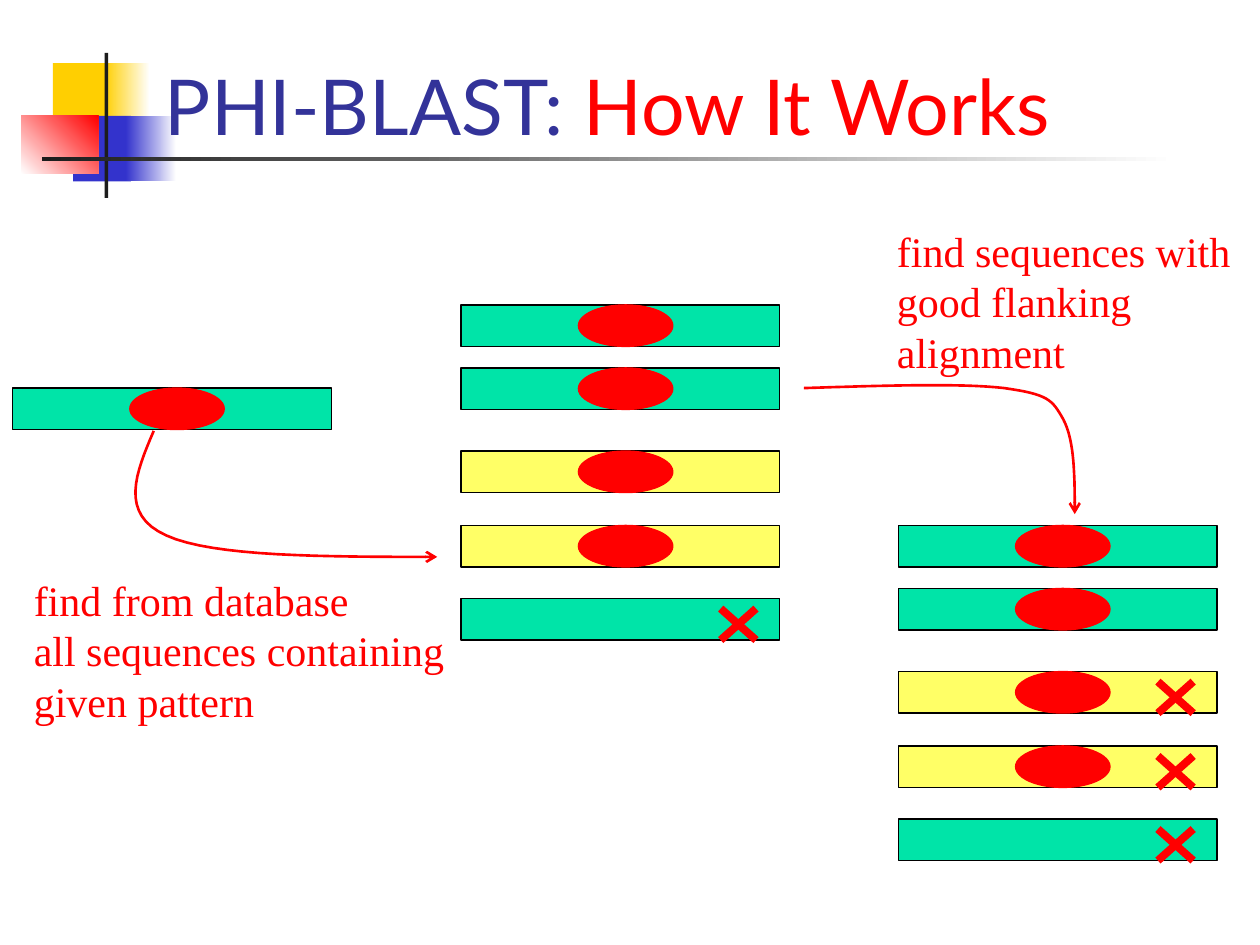
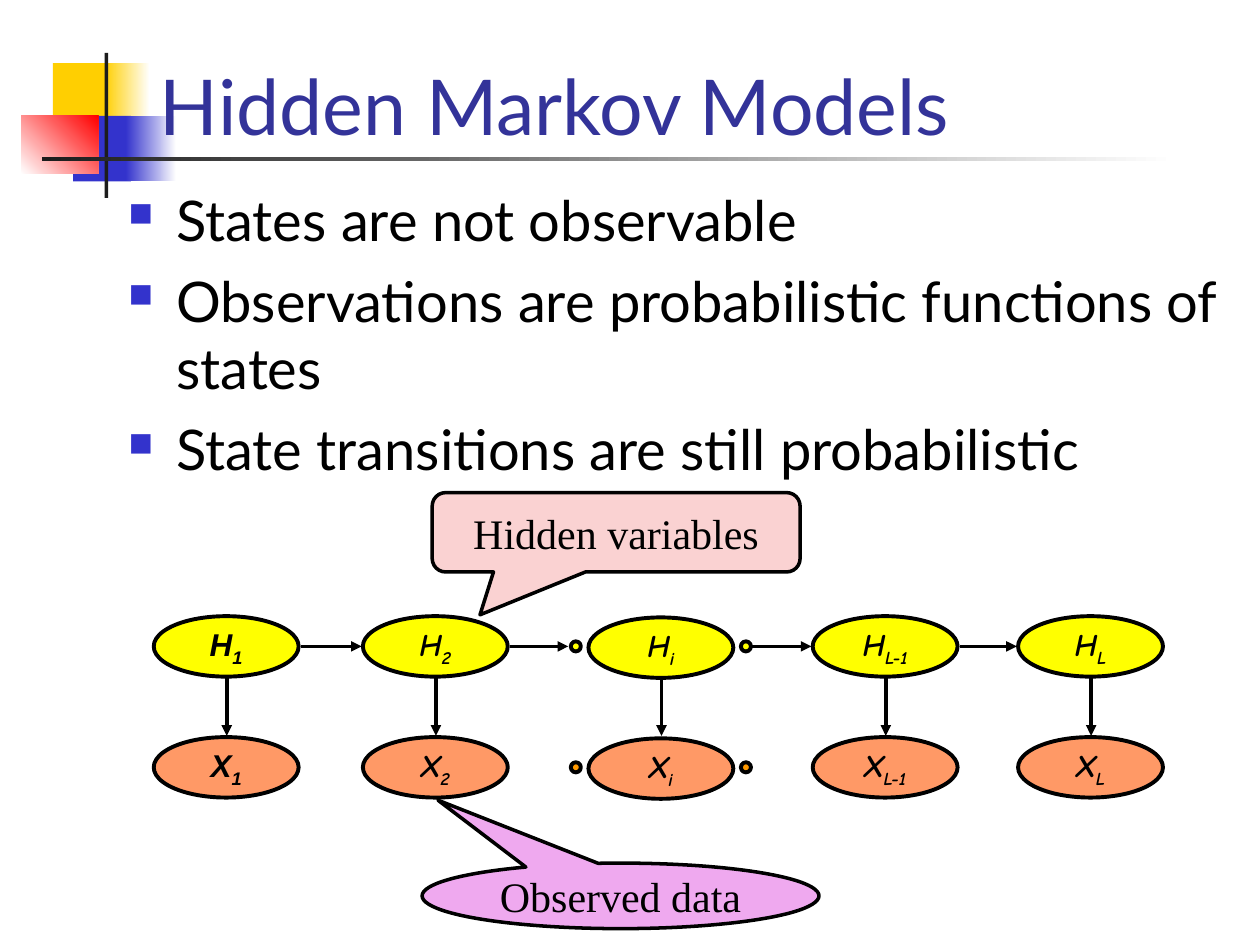
from pptx import Presentation
from pptx.dml.color import RGBColor
from pptx.enum.shapes import MSO_CONNECTOR, MSO_SHAPE as SHAPE
from pptx.enum.text import MSO_ANCHOR as ANCHOR, PP_ALIGN as ALIGN
from pptx.oxml.ns import qn
from pptx.util import Inches, Pt
from lxml.etree import SubElement

BLACK = RGBColor(0x00, 0x00, 0x00)
WHITE = RGBColor(0xFF, 0xFF, 0xFF)
RED = RGBColor(0xFF, 0x00, 0x00)
GOLD = RGBColor(0xFF, 0xCF, 0x01)
BLUE = RGBColor(0x33, 0x33, 0xCC)
CHARCOAL = RGBColor(0x1C, 0x1C, 0x1C)
TITLE_BLUE = RGBColor(0x33, 0x33, 0x99)
GREEN = RGBColor(0x00, 0xE4, 0xA8)
PALE_YELLOW = RGBColor(0xFF, 0xFF, 0x66)
YELLOW = RGBColor(0xFF, 0xFF, 0x00)
SALMON = RGBColor(0xFF, 0x99, 0x66)
ORANGE = RGBColor(0xFF, 0x99, 0x00)
PINK = RGBColor(0xFA, 0xD2, 0xD2)
VIOLET = RGBColor(0xEF, 0xA9, 0xEF)
SANS, SERIF = "Lato", "Times New Roman"


def write(sp, *paragraphs, size=24, font=SERIF, color=BLACK, bold=None, italic=None,
          align=ALIGN.LEFT, anchor=ANCHOR.TOP, wrap=True, bullet=None, gap=0):
    """Fill a shape; a paragraph is a string or a list of (text, color, baseline)."""
    tf = sp.text_frame
    tf.word_wrap, tf.vertical_anchor = wrap, anchor
    for i, runs in enumerate(paragraphs):
        p = tf.add_paragraph() if i else tf.paragraphs[0]
        p.alignment = align
        if i and gap:
            p.space_before = Pt(gap)
        if bullet:
            pPr = p._p.get_or_add_pPr()
            pPr.set("marL", str(Inches(0.38)))
            pPr.set("indent", str(-Inches(0.38)))
            SubElement(SubElement(pPr, qn("a:buClr")), qn("a:srgbClr"), val=str(BLUE))
            SubElement(pPr, qn("a:buSzPct"), val="60000")
            SubElement(pPr, qn("a:buChar"), char=bullet)
        for text, run_color, baseline in [(runs, color, 0)] if isinstance(runs, str) else runs:
            r = p.add_run()
            r.text = text
            r.font.size, r.font.name = Pt(size), font
            r.font.bold, r.font.italic = bold, italic
            r.font.color.rgb = run_color
            if baseline:
                r._r.get_or_add_rPr().set("baseline", str(baseline * 1000))


def add_shape(s, kind, x, y, w, h, fill, fade_to=None, angle=0, line=None, weight=0.75):
    sp = s.shapes.add_shape(kind, Inches(x), Inches(y), Inches(w), Inches(h))
    sp.shadow.inherit = False
    if fade_to is None:
        sp.fill.solid()
        sp.fill.fore_color.rgb = fill
    else:
        sp.fill.gradient()
        sp.fill.gradient_angle = angle
        for stop, color in zip(sp.fill.gradient_stops, (fill, fade_to)):
            stop.color.rgb = color
    if line is None:
        sp.line.fill.background()
    else:
        sp.line.color.rgb = line
        sp.line.width = Pt(weight)
    return sp


prs = Presentation()
prs.slide_width, prs.slide_height = Inches(10), Inches(7.5)
lines = []    # slide, x1, y1, x2, y2, color, weight, arrowhead
arrows = []   # line objects with their arrowheads

# Shared decoration and titles
titles = [
    (1.21, 0.4, 0.85, [("PHI-BLAST: ", TITLE_BLUE, 0), ("How It Works", RED, 0)]),
    (1.17, 0, 1.25, [("Hidden Markov Models", TITLE_BLUE, 0)]),
]
decoration = [
    (0.42, 0.5, 0.48, 0.52, GOLD),
    (0.83, 0.5, 0.36, 0.52, GOLD, WHITE),
    (0.58, 0.92, 0.46, 0.52, BLUE),
    (1, 0.92, 0.4, 0.52, BLUE, WHITE),
    (0.17, 0.92, 0.61, 0.46, WHITE, RED, 45),
    (0.83, 0.42, 0.03, 1.15, CHARCOAL),
    (0.33, 1.25, 9, 0.03, CHARCOAL, WHITE),
]
for x, y, h, title in titles:
    s = prs.slides.add_slide(prs.slide_layouts[6])
    for block in decoration:
        add_shape(s, SHAPE.RECTANGLE, *block)
    sp = s.shapes.add_textbox(Inches(x), Inches(y), Inches(8.52), Inches(h))
    write(sp, title, size=44, font=SANS, anchor=ANCHOR.BOTTOM)
blast, markov = prs.slides

# PHI-BLAST: query, database hits and filtered hits
hits = [(0, GREEN, True), (0.5, GREEN, True), (1.16, PALE_YELLOW, True),
        (1.75, PALE_YELLOW, True), (2.33, GREEN, False)]
columns = [(0.1, 3.08, hits[:1], ()), (7.13, 4.17, hits, (2, 3, 4)), (3.66, 2.42, hits, (4,))]
for x, top, sequences, rejected in columns:
    for i, (dy, color, has_pattern) in enumerate(sequences):
        y = top + dy
        add_shape(blast, SHAPE.RECTANGLE, x, y, 2.53, 0.33, color, line=BLACK)
        if has_pattern:
            add_shape(blast, SHAPE.OVAL, x + 0.93, y, 0.75, 0.33, RED, line=RED)
        if i in rejected:
            left, right, upper, lower = x + 2.06, x + 2.34, y + 0.08, y + 0.33
            lines.append((blast, right, upper, left, lower, RED, 4.5, None))
            lines.append((blast, left, upper, right, lower, RED, 4.5, None))

# PHI-BLAST: curved arrows, each a chain of Bezier segments
STEPS = 16
curves = [
    [(1.22, 3.42), (1.08, 3.75), (0.94, 4.08), (1.32, 4.25),
     (1.69, 4.42), (2.58, 4.42), (3.47, 4.42)],
    [(6.38, 3.08), (7, 3.06), (7.63, 3.04), (7.97, 3.08), (8.32, 3.13),
     (8.35, 3.17), (8.44, 3.33), (8.53, 3.5), (8.53, 3.79), (8.53, 4.08)],
]
for curve in curves:
    points = []
    for i in range(0, len(curve) - 1, 3):
        for t in (n / STEPS for n in range(1, STEPS + 1)):
            weights = ((1 - t) ** 3, 3 * t * (1 - t) ** 2, 3 * t * t * (1 - t), t ** 3)
            points.append([Inches(sum(k * c[axis] for k, c in zip(weights, curve[i:i + 4])))
                           for axis in (0, 1)])
    builder = blast.shapes.build_freeform(*(Inches(v) for v in curve[0]))
    builder.add_line_segments(points, close=False)
    sp = builder.convert_to_shape()
    sp.shadow.inherit = False
    sp.fill.background()
    sp.line.color.rgb, sp.line.width = RED, Pt(1.5)
    arrows.append((sp, "arrow"))

# PHI-BLAST: captions
captions = [
    (0.17, 4.51, 3.46, ["find from database", "all sequences containing", "given pattern"]),
    (7.02, 1.74, 2.85, ["find sequences with", "good flanking", "alignment"]),
]
for x, y, w, caption in captions:
    sp = blast.shapes.add_textbox(Inches(x), Inches(y), Inches(w), Inches(1.3))
    write(sp, *caption, color=RED, wrap=False)

# Hidden Markov Models: bullets
sp = markov.shapes.add_textbox(Inches(0.92), Inches(1.42), Inches(8.88), Inches(5.29))
write(sp, "States are not observable",
      "Observations are probabilistic functions of states",
      "State transitions are still probabilistic",
      size=32, font=SANS, bullet="■", gap=8)

# Hidden Markov Models: state chain above its observations
rows = [("H", 4.89, YELLOW, YELLOW), ("X", 5.85, SALMON, ORANGE)]
nodes = [(1.22, "1"), (2.88, "2"), (4.67, "i"), (6.45, "L-1"), (8.08, "L")]
for letter, y, color, dot_color in rows:
    for x, index in nodes:
        node_y = y + 0.01 if index == "i" else y
        sp = add_shape(markov, SHAPE.OVAL, x, node_y, 1.15, 0.48, color, line=BLACK, weight=2.25)
        write(sp, [(letter, BLACK, 0), (index, BLACK, -25)], size=18,
              font="Arial" if index == "1" else "Comic Neue", bold=True, italic=True,
              align=ALIGN.CENTER, anchor=ANCHOR.MIDDLE, wrap=False)
    for x in (4.53, 5.88):
        add_shape(markov, SHAPE.OVAL, x, y + 0.2, 0.08, 0.08, dot_color, line=BLACK, weight=2.25)
for x, index in nodes:
    lines.append((markov, x + 0.58, 5.38, x + 0.58, 5.84, BLACK, 2, "triangle"))
for x1, x2 in [(2.39, 2.87), (4.05, 4.51), (5.97, 6.44), (7.62, 8.07)]:
    lines.append((markov, x1, 5.13, x2, 5.13, BLACK, 2, "triangle"))

# Hidden Markov Models: callouts
callouts = [
    (SHAPE.ROUNDED_RECTANGULAR_CALLOUT, 3.43, 3.91, 2.92, 0.63, PINK,
     (-0.37, 1.04, 0.17), "Hidden variables"),
    (SHAPE.OVAL_CALLOUT, 3.35, 6.85, 3.15, 0.52, VIOLET, (-0.46, -1.46), "Observed data"),
]
for kind, x, y, w, h, color, adjustments, label in callouts:
    sp = add_shape(markov, kind, x, y, w, h, color, line=BLACK, weight=2)
    for i, value in enumerate(adjustments):
        sp.adjustments[i] = value
    write(sp, label, align=ALIGN.CENTER, anchor=ANCHOR.MIDDLE)

# Straight lines, then all arrowheads
for s, x1, y1, x2, y2, color, weight, head in lines:
    cx = s.shapes.add_connector(MSO_CONNECTOR.STRAIGHT, *(Inches(v) for v in (x1, y1, x2, y2)))
    cx.line.color.rgb, cx.line.width = color, Pt(weight)
    SubElement(cx._element.spPr, qn("a:effectLst"))
    if head:
        arrows.append((cx, head))
for sp, head in arrows:
    SubElement(sp.line._get_or_add_ln(), qn("a:tailEnd"), type=head)

prs.save("out.pptx")
